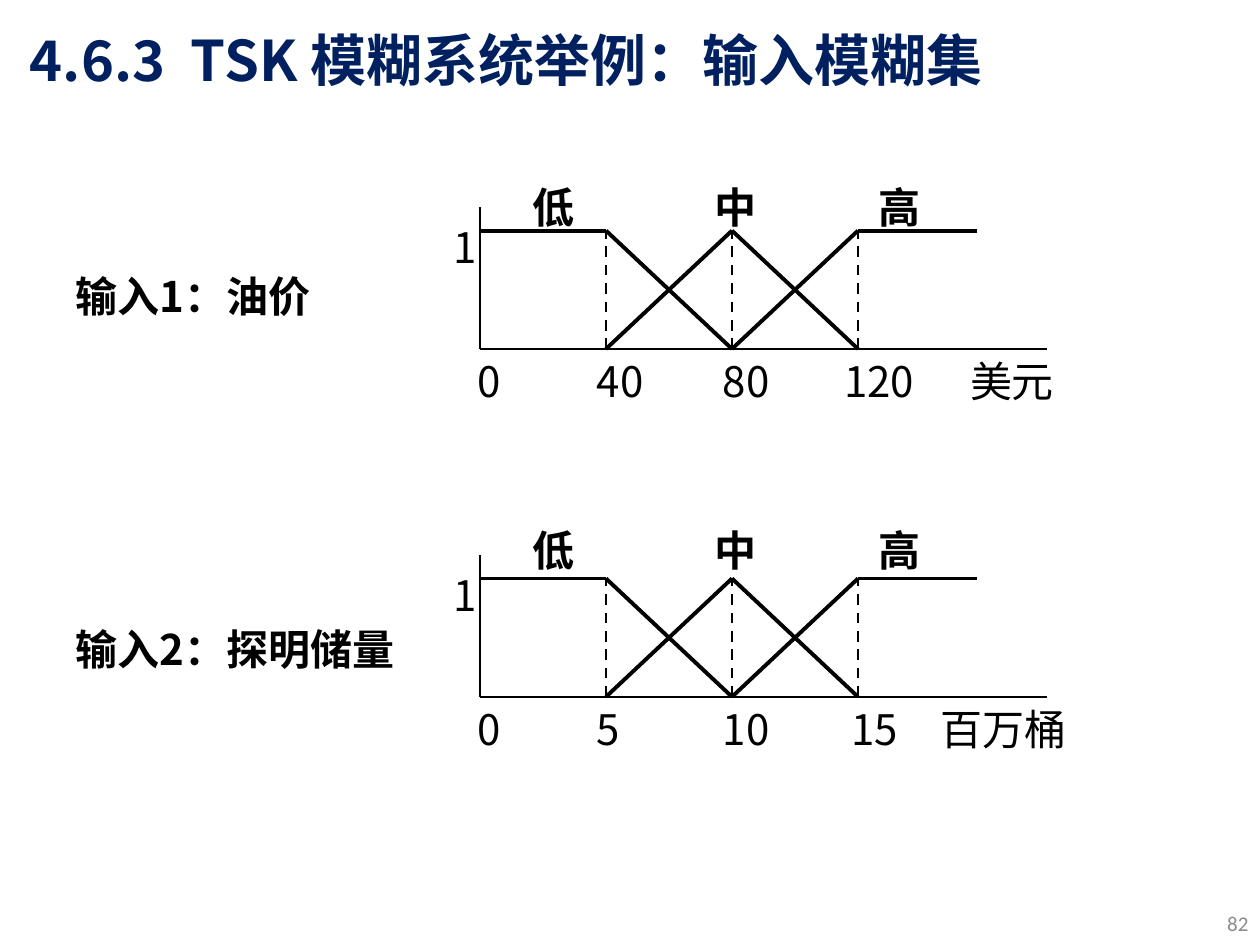
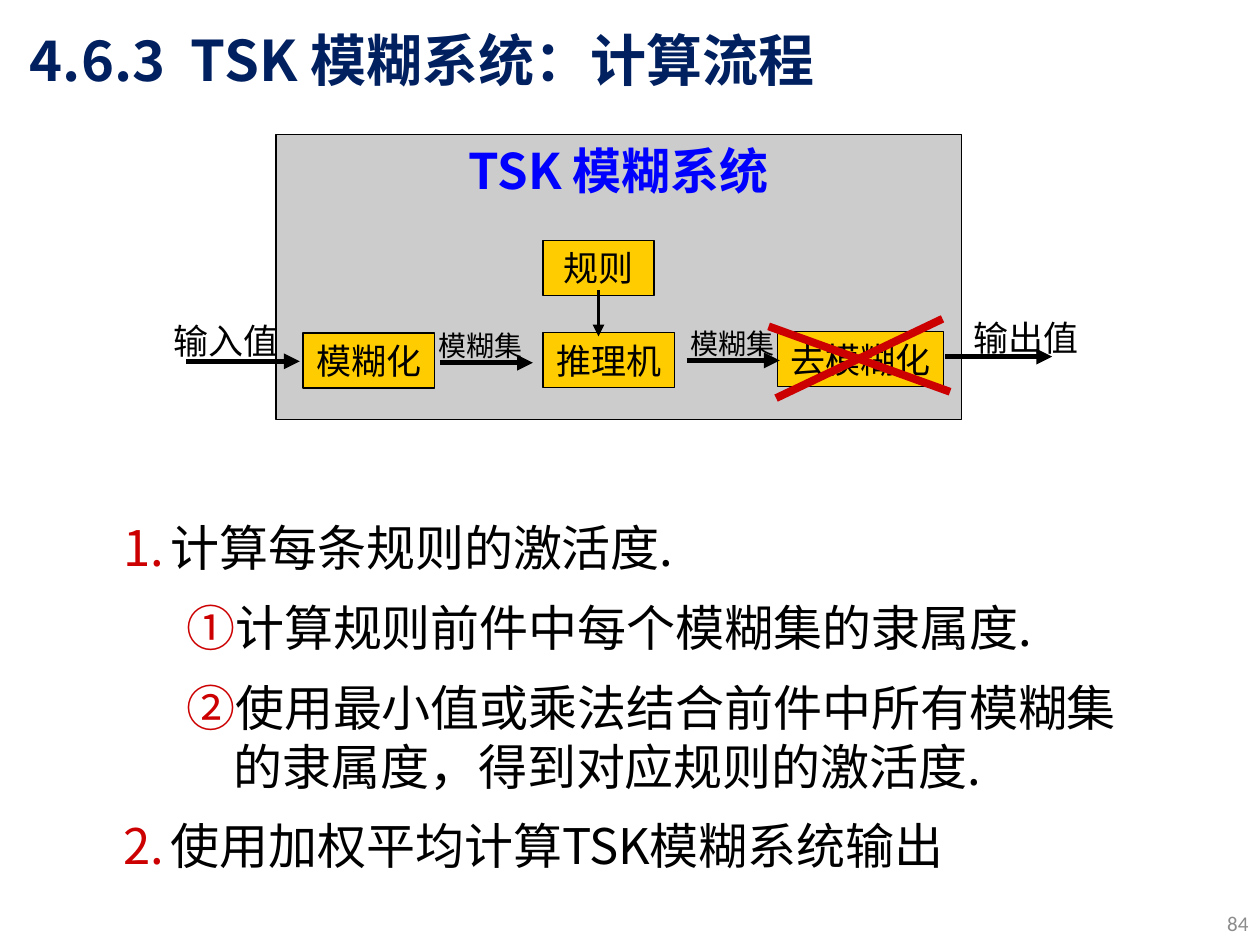
from lxml import etree
from pptx import Presentation
from pptx.dml.color import RGBColor
from pptx.enum.dml import MSO_LINE
from pptx.enum.shapes import MSO_CONNECTOR, MSO_SHAPE
from pptx.enum.text import MSO_ANCHOR, MSO_AUTO_SIZE, PP_ALIGN
from pptx.oxml.ns import qn
from pptx.util import Pt

BLACK = RGBColor(0x00, 0x00, 0x00)
NAVY = RGBColor(0x00, 0x20, 0x60)
BLUE = RGBColor(0x00, 0x00, 0xFF)
RED = RGBColor(0xCC, 0x00, 0x00)
GOLD = RGBColor(0xFF, 0xCC, 0x00)
SILVER = RGBColor(0xCC, 0xCC, 0xCC)
GREY = RGBColor(0x8C, 0x8C, 0x8C)
SANS = "Noto Sans CJK SC"
LATIN = "Calibri"


def label_width(text, size):
    """Width in points: an ASCII character takes 0.6 em, a Chinese one 1 em."""
    return 15 + size * sum(0.6 if char.isascii() else 1 for char in text)


def label_height(size):
    return 7.5 + 1.2 * size


class Deck:
    """Holds the shared style and the slide being drawn; lengths are points."""

    def __init__(self):
        self.presentation = Presentation()
        self.presentation.slide_width = Pt(720)
        self.presentation.slide_height = Pt(540)
        self.slide = None
        self.canvas = None

    def new_slide(self, title, number):
        self.slide = self.presentation.slides.add_slide(self.presentation.slide_layouts[6])
        self.canvas = self.slide.shapes
        self.label(title, 10, 11, 32, color=NAVY, bold=True, width=680, height=45, wrap=True)
        self.label(number, 684, 514, 12, font=LATIN, color=GREY, width=36.5, height=27,
                   align=PP_ALIGN.RIGHT, anchor=MSO_ANCHOR.MIDDLE, wrap=True)

    def start_group(self):
        self.canvas = self.slide.shapes.add_group_shape().shapes

    def end_group(self):
        self.canvas = self.slide.shapes

    def format_runs(self, paragraph, size, font, color, bold=False):
        for run in paragraph.runs:
            run.font.size = Pt(size)
            run.font.name = font
            run.font.bold = bold
            run.font.color.rgb = color
            etree.SubElement(run.font._element, qn("a:ea"), typeface=font)

    def fill_text(self, frame, text, size, font, color, bold, align, anchor, wrap):
        frame.text = text
        frame.word_wrap = wrap
        frame.auto_size = MSO_AUTO_SIZE.NONE if wrap else MSO_AUTO_SIZE.SHAPE_TO_FIT_TEXT
        frame.vertical_anchor = anchor
        frame.paragraphs[0].alignment = align
        self.format_runs(frame.paragraphs[0], size, font, color, bold)

    def label(self, text, left, top, size=24, font=SANS, color=BLACK, bold=False, width=None,
              height=None, align=PP_ALIGN.LEFT, anchor=MSO_ANCHOR.TOP, wrap=False):
        box = self.canvas.add_textbox(Pt(left), Pt(top), Pt(width or label_width(text, size)),
                                      Pt(height or label_height(size)))
        self.fill_text(box.text_frame, text, size, font, color, bold, align, anchor, wrap)

    def block(self, text, left, top, width, height, fill=GOLD, size=20, font=LATIN,
              color=BLACK, bold=False, anchor=MSO_ANCHOR.MIDDLE, wrap=False):
        block = self.canvas.add_shape(MSO_SHAPE.RECTANGLE, Pt(left), Pt(top), Pt(width), Pt(height))
        block.shadow.inherit = False
        block.fill.solid()
        block.fill.fore_color.rgb = fill
        block.line.color.rgb = BLACK
        block.line.width = Pt(0.75)
        self.fill_text(block.text_frame, text, size, font, color, bold,
                       PP_ALIGN.CENTER, anchor, wrap)

    def line(self, start, end, weight=1.5, color=BLACK, dashed=False, arrow=False):
        line = self.canvas.add_connector(MSO_CONNECTOR.STRAIGHT, *map(Pt, start + end))
        line.line.color.rgb = color
        line.line.width = Pt(weight)
        if dashed:
            line.line.dash_style = MSO_LINE.DASH
        if arrow:
            etree.SubElement(line.line._get_or_add_ln(), qn("a:tailEnd"), type="triangle")
        etree.SubElement(line._element.spPr, qn("a:effectLst"))

    def numbered_list(self, steps, left, top, width, height, size=28):
        """Steps are (level, text) pairs; each level has its own numbering."""
        frame = self.canvas.add_textbox(Pt(left), Pt(top), Pt(width), Pt(height)).text_frame
        frame.word_wrap = True
        frame.text = "\n".join(text for _, text in steps)
        for paragraph, (level, _) in zip(frame.paragraphs, steps):
            paragraph.level = level
            paragraph.space_before = Pt(12)
            properties = paragraph._p.get_or_add_pPr()
            properties.set("marL", str(Pt(27 + 36 * level)))
            properties.set("indent", str(Pt(-27)))
            bullet_color = etree.SubElement(properties, qn("a:buClr"))
            etree.SubElement(bullet_color, qn("a:srgbClr"), val=str(RED))
            numbering = ("arabicPeriod", "circleNumDbPlain")[level]
            etree.SubElement(properties, qn("a:buAutoNum"), type=numbering)
            self.format_runs(paragraph, size, SANS, BLACK)

    def membership_plot(self, base, ticks, unit, name_rise):
        """Three overlapping fuzzy sets; ticks and unit are (text, left) pairs."""
        origin, step, full = 274.3, 72, base - 67.6
        low, middle, high = (origin + step * i for i in (1, 2, 3))
        self.start_group()
        self.line((origin, base - 81), (origin, base))
        self.line((origin, base), (origin + 324, base))
        for text, left in ticks + [unit]:
            self.label(text, left, base)
        self.line((origin, full), (low, full), 2.25)
        for left, right in ((low, middle), (middle, high)):
            self.line((left, full), (right, base), 2.25)
            self.line((left, base), (right, full), 2.25)
        self.line((high, full), (558, full), 2.25)
        for peak in (low, middle, high):
            self.line((peak, base), (peak, full), dashed=True)
        self.label("1", 252, base - 76.3)
        for name, left in (("低", 297.4), ("中", 401), ("高", 495)):
            self.label(name, left, base - name_rise, bold=True)
        self.end_group()


def draw_input_sets(deck):
    deck.new_slide("4.6.3  TSK 模糊系统举例：输入模糊集", "82")
    for text, top in (("输入1：油价", 151.2), ("输入2：探明储量", 353)):
        deck.label(text, 36, top, bold=True, width=209, wrap=True)
    deck.membership_plot(199.4, [("0", 265.7), ("40", 334), ("80", 406), ("120", 475.2)],
                         ("美元", 547.2), 99.4)
    deck.membership_plot(398.2, [("0", 265.7), ("5", 334), ("10", 406), ("15", 479.5)],
                         ("百万桶", 530.6), 102.2)


def draw_workflow(deck):
    deck.new_slide("4.6.3  TSK 模糊系统：计算流程", "84")
    deck.block("TSK 模糊系统", 157.7, 77, 391.7, 162.7, fill=SILVER, size=28, font=SANS,
               color=BLUE, bold=True, anchor=MSO_ANCHOR.TOP, wrap=True)
    deck.numbered_list([
        (0, "计算每条规则的激活度."),
        (1, "计算规则前件中每个模糊集的隶属度."),
        (1, "使用最小值或乘法结合前件中所有模糊集的隶属度，得到对应规则的激活度."),
        (0, "使用加权平均计算TSK模糊系统输出"),
    ], 63.4, 292.3, 609, 213)

    deck.block("规则", 310.3, 137.3, 63.4, 31.5, wrap=True)
    for text, left, top in (("模糊化", 173.2, 190.3), ("推理机", 310.3, 190),
                            ("去模糊化", 444.2, 189.5)):
        deck.block(text, left, top, label_width(text, 20), 31.5)

    for left, right, y in ((106.5, 171.3, 206.5), (251.3, 304.5, 207.3),
                           (392.4, 445.6, 206), (540, 601.2, 203.8)):
        deck.line((left, y), (right, y), 3, arrow=True)
    deck.line((342, 165.6), (342, 192.2), 2.25, arrow=True)

    for text, left, top, size in (("输入值", 92.2, 179.3, 20), ("模糊集", 243.4, 184.3, 16),
                                  ("模糊集", 387.7, 182.9, 16), ("输出值", 549.4, 177.1, 20)):
        deck.label(text, left, top, size, font=LATIN)

    deck.start_group()
    deck.line((439.2, 186.5), (542.9, 223.9), 4.5, RED)
    deck.line((538.6, 182.2), (443.5, 227.5), 4.5, RED)
    deck.end_group()


def main():
    deck = Deck()
    draw_input_sets(deck)
    draw_workflow(deck)
    deck.presentation.save("out.pptx")


if __name__ == "__main__":
    main()
